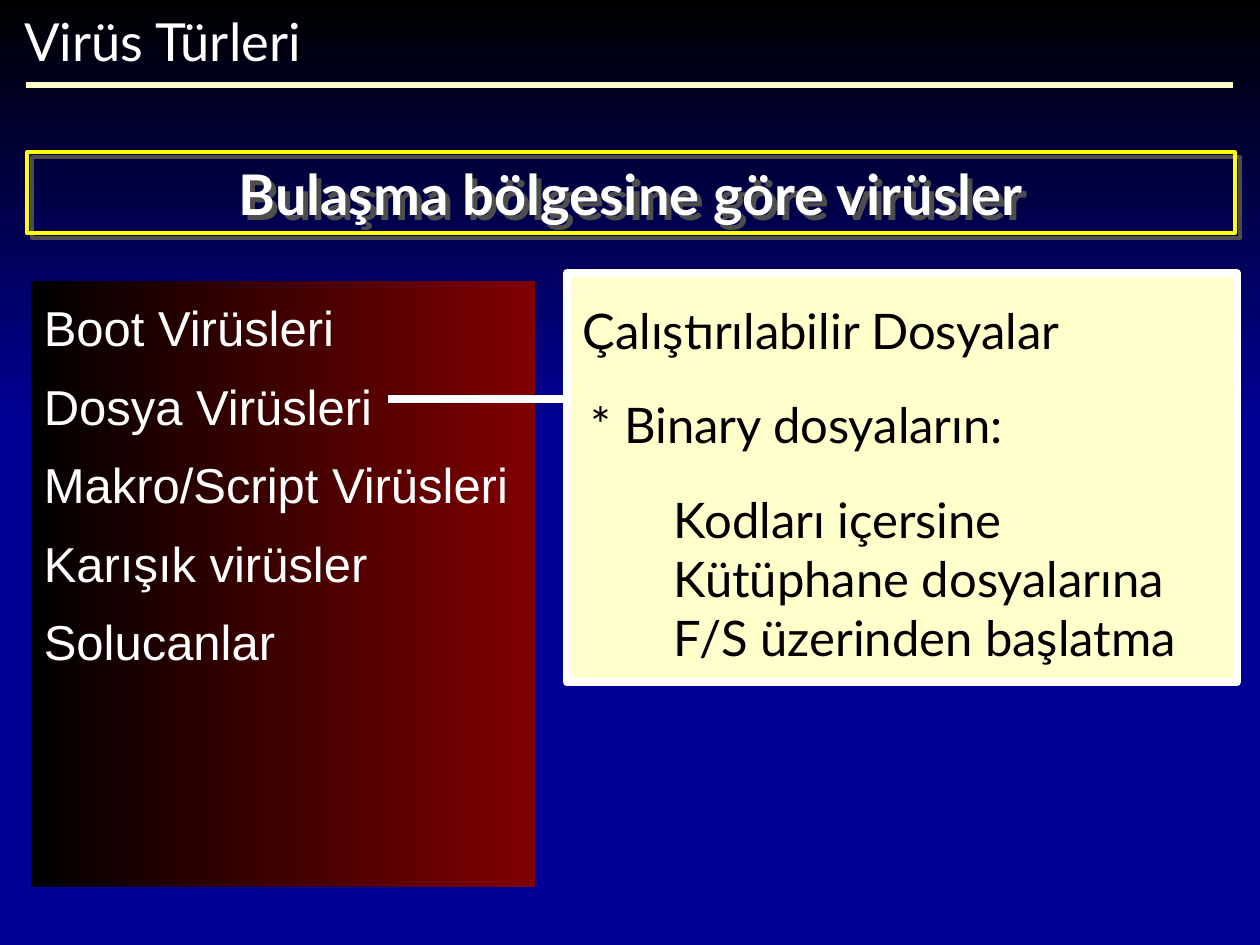
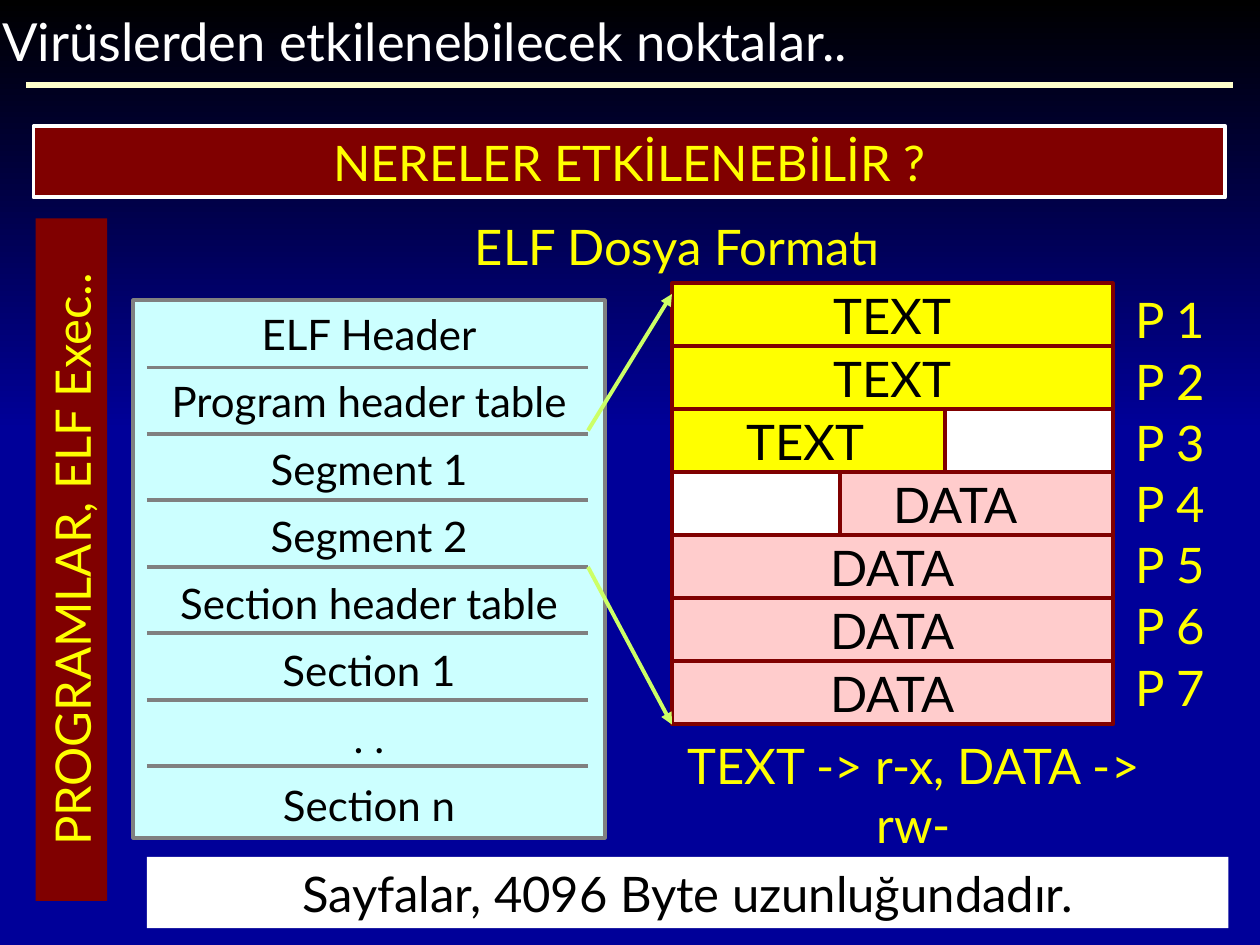
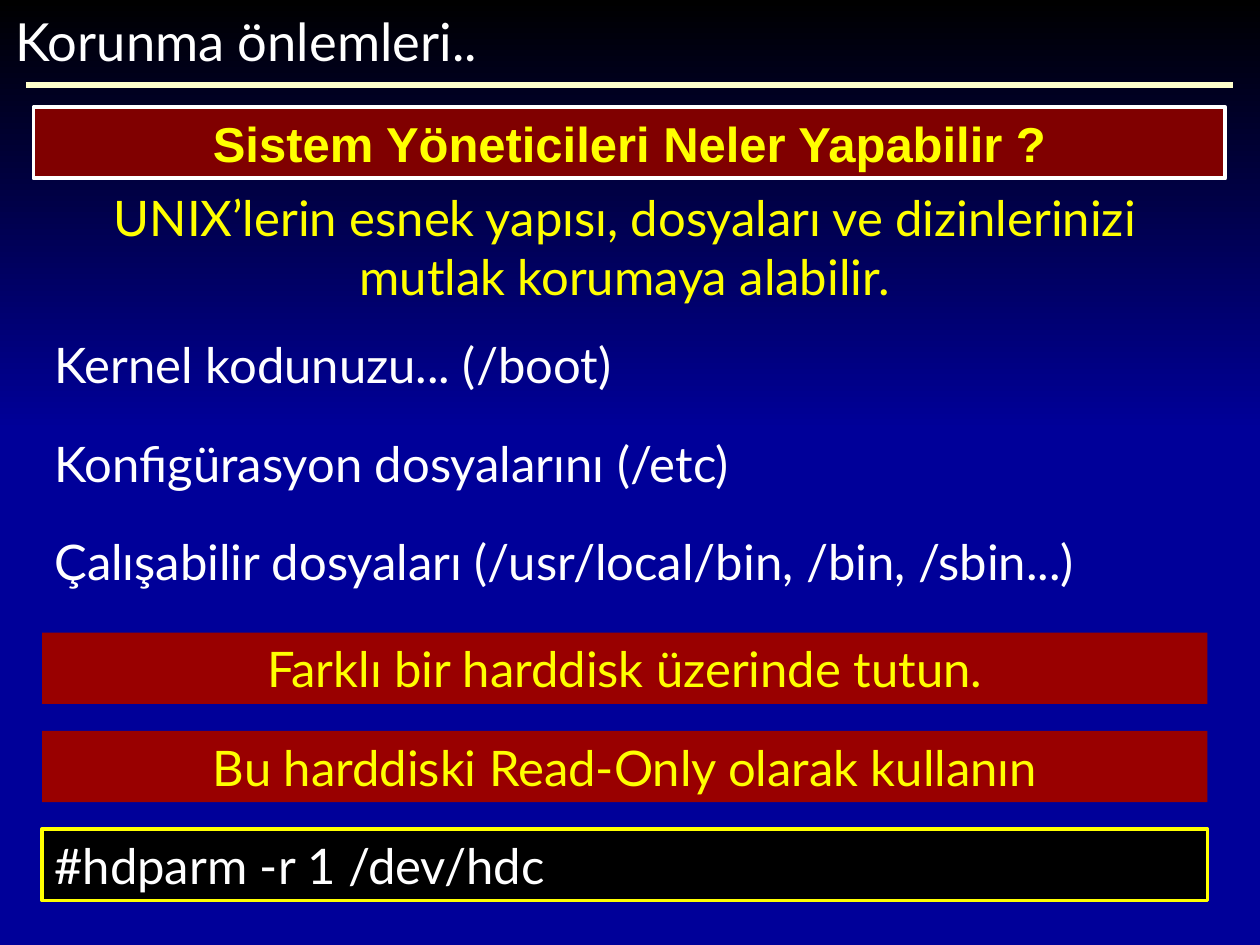
"""Build three slides about virus types, ELF infection points and protection."""
import dataclasses

import lxml.etree
import pptx
import pptx.dml.color
import pptx.enum.shapes
import pptx.enum.text
import pptx.oxml.ns
import pptx.util

ALIGN = pptx.enum.text.PP_ALIGN
ANCHOR = pptx.enum.text.MSO_ANCHOR


@dataclasses.dataclass(frozen=True)
class Theme:
    """Colours, fonts, type sizes and line widths."""
    navy: str = "000099"
    black: str = "000000"
    white: str = "FFFFFF"
    cream: str = "FFFFCC"
    yellow: str = "FFFF00"
    maroon: str = "800000"
    red: str = "990000"
    ice: str = "CCFFFF"
    gray: str = "808080"
    pink: str = "FFCCCC"
    lime: str = "CCFF66"
    shade: str = "4D4D4D"
    body_font: str = "Lato"
    plain_font: str = "Arial"
    title_size: int = 30
    banner_size: int = 32
    body_size: int = 28
    small_size: int = 24
    thin: float = 2.25
    rule: float = 3
    thick: float = 4.5


def color(value):
    """Turn a hex string into a colour."""
    return pptx.dml.color.RGBColor.from_string(value)


class Painter:
    """Draws on the current slide, on a grid of 120 columns by 90 rows."""
    columns, rows = 120, 90

    def __init__(self, theme):
        """Open a deck and prepare the shared layout."""
        self.theme = theme
        self.deck = pptx.Presentation()
        self.deck.slide_width = pptx.util.Inches(10)
        self.deck.slide_height = pptx.util.Inches(7.5)
        self.layout = self.deck.slide_layouts[5]
        self.page = None

    def across(self, count):
        """Length of a number of columns."""
        return round(self.deck.slide_width * count / self.columns)

    def down(self, count):
        """Length of a number of rows."""
        return round(self.deck.slide_height * count / self.rows)

    def area(self, place):
        """Left, top, width and height of a grid area."""
        left, top, width, height = place
        return self.across(left), self.down(top), self.across(width), self.down(height)

    def frame(self):
        """Give the layout its background, gradient band and title rule."""
        fill = self.layout.background.fill
        fill.solid()
        fill.fore_color.rgb = color(self.theme.navy)
        band = self.box((0, 0, 120, 41))
        self.gradient(band, self.theme.black, self.theme.navy, 270)
        rule = self.line((2.5, 8.1), (117.4, 8.1), self.theme.cream, self.theme.rule)
        for place, shape in enumerate((band, rule), start=2):
            self.layout.shapes.element.insert(place, shape.element)

    def slide(self, title, left, width):
        """Start a slide with its title."""
        self.page = self.deck.slides.add_slide(self.layout)
        if len(self.deck.slides) == 1:
            self.frame()
        heading = self.page.shapes.title
        heading.left, heading.top, heading.width, heading.height = self.area((left, 0.25, width, 7.2))
        self.set_text(heading, [title], size=self.theme.title_size, wrap=False)

    def gradient(self, shape, first, second, angle):
        """Fill a shape with two colours."""
        shape.fill.gradient()
        shape.fill.gradient_angle = angle
        for stop, value in zip(shape.fill.gradient_stops, (first, second)):
            stop.color.rgb = color(value)

    def box(self, place, fill=None, outline=None, weight=None):
        """Add a rectangle."""
        shape = self.page.shapes.add_shape(
            pptx.enum.shapes.MSO_SHAPE.RECTANGLE, *self.area(place))
        shape.shadow.inherit = False
        if fill:
            shape.fill.solid()
            shape.fill.fore_color.rgb = color(fill)
        else:
            shape.fill.background()
        if outline:
            shape.line.color.rgb = color(outline)
            shape.line.width = pptx.util.Pt(weight or self.theme.thin)
        else:
            shape.line.fill.background()
        return shape

    def set_text(self, shape, lines, ink=None, size=None, font=None, bold=False,
                 align=ALIGN.LEFT, anchor=ANCHOR.MIDDLE, wrap=True, gap=0, insets=(0.1, 0.05, 0.1)):
        """Set the text of a shape, one paragraph a line."""
        frame = shape.text_frame
        frame.word_wrap = wrap
        frame.vertical_anchor = anchor
        frame.margin_left, frame.margin_top, frame.margin_right = map(pptx.util.Inches, insets)
        frame.margin_bottom = pptx.util.Inches(0.05)
        for index, line in enumerate(lines):
            para = frame.paragraphs[0] if index == 0 else frame.add_paragraph()
            para.text = line
            para.alignment = align
            para.space_before = pptx.util.Pt(gap if index else 0)
            para.font.name = font or self.theme.body_font
            para.font.size = pptx.util.Pt(size or self.theme.body_size)
            para.font.bold = bold
            para.font.color.rgb = color(ink or self.theme.white)

    def text(self, place, lines, **style):
        """Add a text box."""
        self.set_text(self.page.shapes.add_textbox(*self.area(place)), lines, **style)

    def bar(self, place, line, fill, outline=None, ink=None, align=ALIGN.CENTER, **style):
        """Add a filled bar with one line of text."""
        shape = self.box(place, fill, outline)
        self.set_text(shape, [line], ink=ink or self.theme.yellow, align=align, **style)
        return shape

    def line(self, start, end, ink, weight, arrow=False):
        """Add a straight line, with an arrowhead if asked."""
        connector = self.page.shapes.add_connector(
            pptx.enum.shapes.MSO_CONNECTOR.STRAIGHT,
            self.across(start[0]), self.down(start[1]), self.across(end[0]), self.down(end[1]))
        connector.line.color.rgb = color(ink)
        connector.line.width = pptx.util.Pt(weight)
        properties = connector.element.spPr
        if arrow:
            outline = properties.find(pptx.oxml.ns.qn("a:ln"))
            lxml.etree.SubElement(outline, pptx.oxml.ns.qn("a:tailEnd"), type="triangle")
        lxml.etree.SubElement(properties, pptx.oxml.ns.qn("a:effectLst"))
        return connector

    def cast_shadow(self, shape):
        """Give a shape a hard shadow to the lower right."""
        effects = shape.element.spPr.find(pptx.oxml.ns.qn("a:effectLst"))
        shadow = lxml.etree.SubElement(effects, pptx.oxml.ns.qn("a:outerShdw"),
                                       dist=str(pptx.util.Pt(4.2)), dir="2700000",
                                       algn="ctr", rotWithShape="0")
        lxml.etree.SubElement(shadow, pptx.oxml.ns.qn("a:srgbClr"), val=self.theme.shade)


def virus_types(painter):
    """Slide on the kinds of virus."""
    theme = painter.theme
    painter.slide("Virüs Türleri", 1.1, 31)
    kinds = painter.box((3, 26.8, 48, 57.7))
    painter.gradient(kinds, theme.black, theme.maroon, 0)
    painter.set_text(kinds, ["Boot Virüsleri", "Dosya Virüsleri", "Makro/Script Virüsleri",
                             "Karışık virüsler", "Solucanlar"],
                     font=theme.plain_font, anchor=ANCHOR.TOP, gap=11.2, insets=(0.1, 0.13, 0.1))
    banner = painter.bar((2.6, 14.5, 115, 7.7), "Bulaşma bölgesine göre virüsler", None,
                         theme.yellow, theme.white, size=theme.banner_size, bold=True)
    painter.cast_shadow(banner)
    painter.box((54, 26, 63.8, 39), theme.cream, theme.white, theme.thick)
    painter.text((54.3, 28, 51.2, 6.8), ["Çalıştırılabilir Dosyalar"], ink=theme.black, wrap=False)
    painter.text((55.1, 37, 45.4, 6.8), ["* Binary dosyaların:"], ink=theme.black, wrap=False)
    painter.line((54, 38), (37, 38), theme.white, theme.thick)
    painter.text((63, 40.4, 53, 29.3), ["Kodları içersine", "Kütüphane dosyalarına",
                                        "F/S üzerinden başlatma"], ink=theme.black)


def infection_points(painter):
    """Slide on the ELF file format and its memory pages."""
    theme = painter.theme
    painter.slide("Virüslerden etkilenebilecek noktalar..", -1, 89.2)
    painter.bar((3.2, 12, 113.5, 6.8), "NERELER ETKİLENEBİLİR ?", theme.maroon, theme.white)
    side = painter.bar((-25.7, 49.9, 65, 6.8), "PROGRAMLAR, ELF Exec..", theme.maroon)
    side.rotation = 270
    painter.text((12, 20, 105, 6.8), ["ELF Dosya Formatı"], ink=theme.yellow, align=ALIGN.CENTER)

    parts = ["ELF Header", "Program header table", "Segment 1", "Segment 2",
             "Section header table", "Section 1", ". .", "Section n"]
    elf_file = painter.box((12.7, 28.6, 44.9, 51.2), theme.ice, theme.gray)
    painter.set_text(elf_file, parts, ink=theme.black, size=theme.small_size,
                     align=ALIGN.CENTER, wrap=False, gap=9.6)
    for index in range(len(parts) - 1):
        divider = 35 + index * 6.33
        painter.line((14, divider), (56, divider), theme.gray, theme.thin)

    normal, before_padding, after_padding = (0.1, 0.05, 0.1), (0.1, 0.05, 1.48), (1.1, 0.05, 0.1)
    memory = [("TEXT", normal), ("TEXT", normal), ("TEXT", before_padding),
              ("DATA", after_padding), ("DATA", normal), ("DATA", normal), ("DATA", normal)]
    fills = {"TEXT": theme.yellow, "DATA": theme.pink}
    for index, (content, insets) in enumerate(memory):
        painter.bar((64, 27 + index * 6, 42, 6), content, fills[content], theme.maroon,
                    theme.black, wrap=False, insets=insets)
    for left, top in ((90, 39), (64, 45)):
        painter.box((left, top, 16, 6), theme.white, theme.maroon)
    painter.line((56, 41), (64, 28), theme.lime, theme.thin, arrow=True)
    painter.line((56, 54), (64, 69), theme.lime, theme.thin, arrow=True)
    for index in range(len(memory)):
        painter.text((106.9, 27 + index * 5.83, 9.1, 6.8), [f"P {index + 1}"],
                     ink=theme.yellow, align=ALIGN.CENTER, wrap=False)
    painter.text((61.8, 69.4, 50.4, 12.5), ["TEXT -> r-x, DATA -> rw-"],
                 ink=theme.yellow, align=ALIGN.CENTER)
    painter.bar((14, 81.6, 103, 6.8), "Sayfalar, 4096 Byte uzunluğundadır.", theme.white,
                ink=theme.black)


def protection(painter):
    """Slide on what system administrators can do."""
    theme = painter.theme
    painter.slide("Korunma önlemleri..", 0.25, 50.5)
    painter.bar((3.2, 10.2, 113.5, 6.8), "Sistem Yöneticileri Neler Yapabilir ?",
                theme.maroon, theme.white, font=theme.plain_font, bold=True)
    painter.text((3, 17.2, 113, 12.5),
                 ["UNIX’lerin esnek yapısı, dosyaları ve dizinlerinizi mutlak korumaya alabilir."],
                 ink=theme.yellow, align=ALIGN.CENTER)
    targets = ["Kernel kodunuzu... (/boot)", "Konfigürasyon dosyalarını (/etc)",
               "Çalışabilir dosyaları (/usr/local/bin, /bin, /sbin...)"]
    pitch = 9.36
    for index, target in enumerate(targets):
        painter.text((4, 31.3 + index * pitch, 111, 6.8), [target])
    steps = [("Farklı bir harddisk üzerinde tutun.", theme.red, {}),
             ("Bu harddiski Read-Only olarak kullanın", theme.red, {}),
             ("#hdparm -r 1 /dev/hdc", theme.black,
              {"outline": theme.yellow, "ink": theme.white, "align": ALIGN.LEFT})]
    for index, (step, fill, style) in enumerate(steps):
        painter.bar((4, 60.25 + index * pitch, 111, 6.8), step, fill, **style)


def main():
    """Draw every slide and save the deck."""
    painter = Painter(Theme())
    for draw in (virus_types, infection_points, protection):
        draw(painter)
    painter.deck.save("out.pptx")


if __name__ == "__main__":
    main()
